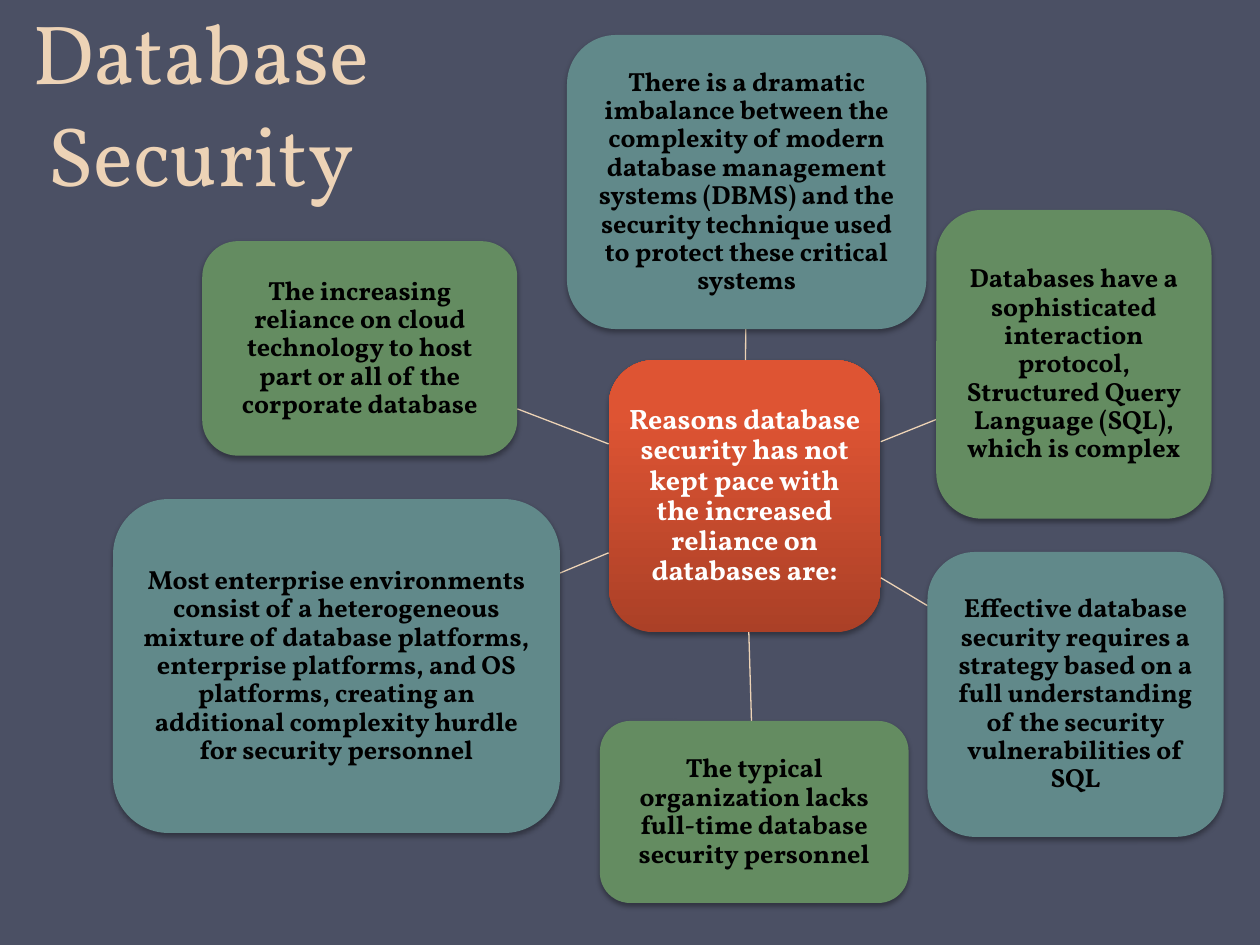
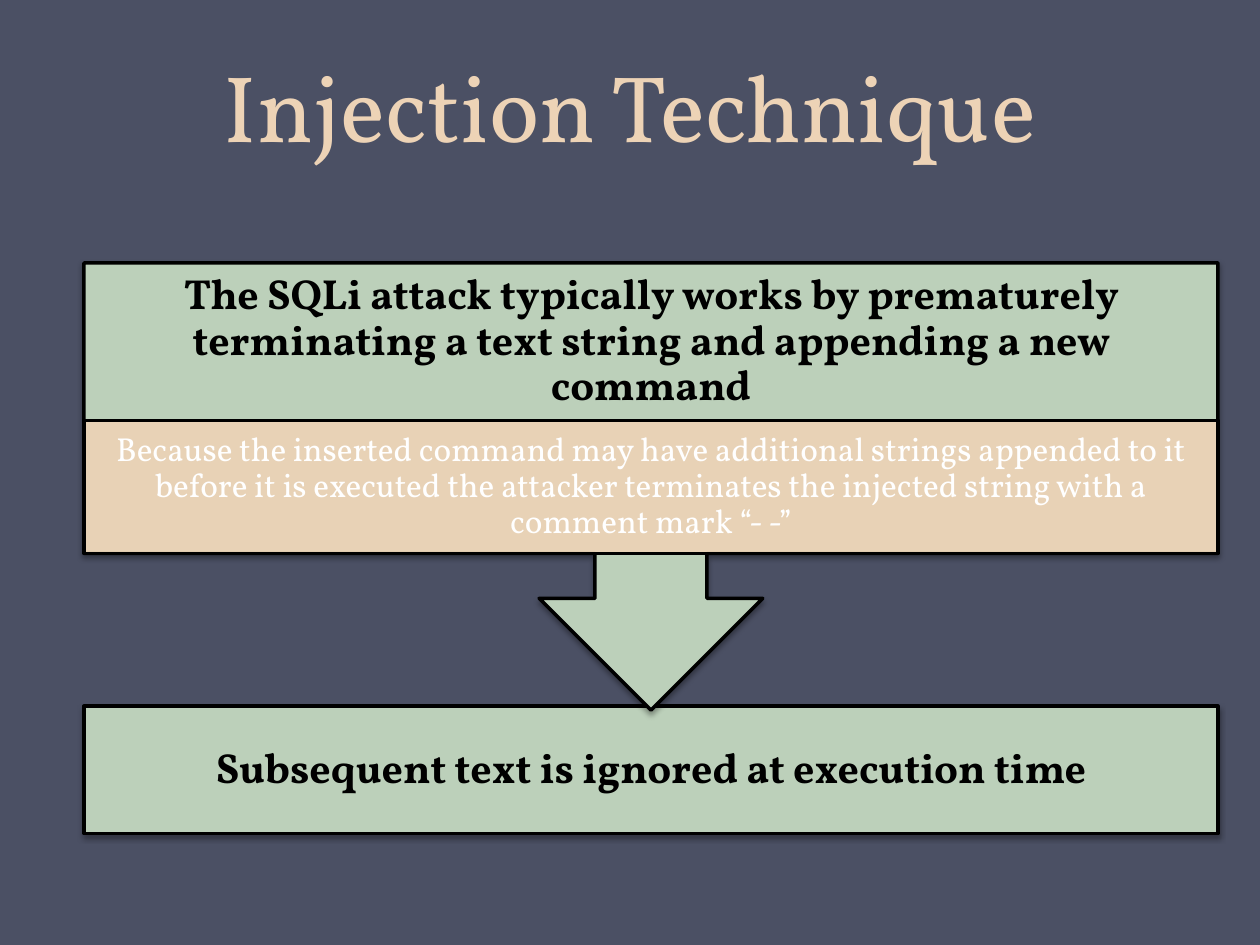
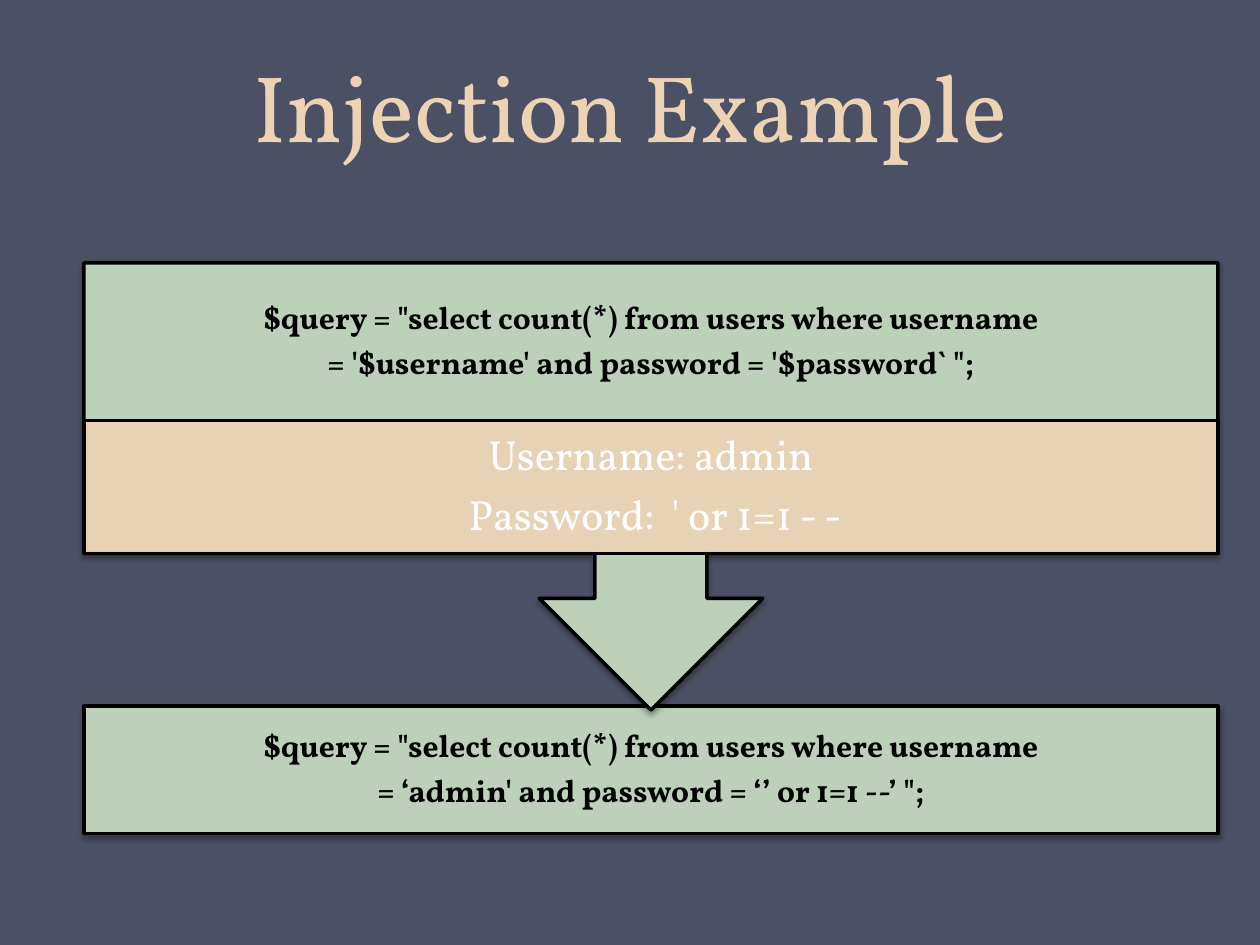
from pptx import Presentation
from pptx.dml.color import RGBColor
from pptx.enum.shapes import MSO_CONNECTOR, MSO_SHAPE
from pptx.enum.text import MSO_ANCHOR, MSO_AUTO_SIZE, PP_ALIGN
from pptx.oxml.ns import qn
from pptx.util import Pt
from lxml.etree import SubElement

FONT = "Vollkorn"
SLATE, SAND, MINT = "4B5064", "EDD3B6", "BCD0BA"
TEAL, GREEN = "61898A", "648C61"
EMBER, ORANGE = "AB4027", "DE5433"
BLACK, WHITE = "000000", "FFFFFF"

HUB = ("Reasons database security has not kept pace with the increased "
       "reliance on databases are:", (347.8, 205.8, 155.5, 155.5))
REASONS = [
    ("There is a dramatic imbalance between the complexity of modern database "
     "management systems (DBMS) and the security technique used to protect "
     "these critical systems", TEAL, (324, 20, 205.3, 168)),
    ("Databases have a sophisticated interaction protocol, Structured Query "
     "Language (SQL), which is complex", GREEN, (535, 120, 157.3, 176.4)),
    ("Effective database security requires a strategy based on a full "
     "understanding of the security vulnerabilities of SQL",
     TEAL, (530, 315.4, 169.2, 162.8)),
    ("The typical organization lacks full-time database security personnel",
     GREEN, (342.8, 412, 176.4, 104)),
    ("Most enterprise environments consist of a heterogeneous mixture of "
     "database platforms, enterprise platforms, and OS platforms, creating an "
     "additional complexity hurdle for security personnel",
     TEAL, (64.6, 285.2, 255.4, 190.8)),
    ("The increasing reliance on cloud technology to host part or all of the "
     "corporate database", GREEN, (115.6, 137.8, 180, 122.6)),
]
FLOWS = [
    {"title": "Injection Technique",
     "cause": (["The SQLi attack typically works by prematurely terminating a "
                "text string and appending a new command"], 24, 13.5),
     "detail": (["Because the inserted command may have additional strings "
                 "appended to it before it is executed the attacker terminates "
                 "the injected string with a comment mark “- -”"], 19, 10.5),
     "result": (["Subsequent text is ignored at execution time"], 24, 13.5)},
    {"title": "Injection Example",
     "cause": (['$query = "select count(*) from users where username',
                "= '$username' and password = '$password` \";"], 18, 10),
     "detail": (["Username: admin", " Password:  ' or 1=1 - -"], 24, 13.5),
     "result": (['$query = "select count(*) from users where username',
                 "= ‘admin' and password = ‘’ or 1=1 --’ \";"], 18, 10)},
]

FLOW_X, FLOW_W = 48, 648
CALLOUT_Y, CALLOUT_H, CAUSE_H = 150.2, 255.6, 90
CALLOUT_BODY = 0.65 * CALLOUT_H
DETAIL_Y, DETAIL_H = CALLOUT_Y + CAUSE_H, 76.2
RESULT_Y, RESULT_H = 403.6, 72.8
INSET = 3


def rgb(color):
    return RGBColor.from_string(color)


def pts(*values):
    return [Pt(v) for v in values]


def style_runs(p, size, color, bold):
    p.alignment = PP_ALIGN.CENTER
    for r in p.runs:
        r.font.name, r.font.size, r.font.bold = FONT, Pt(size), bold
        r.font.color.rgb = rgb(color)


def add_slide(prs, title, size, box):
    s = prs.slides.add_slide(prs.slide_layouts[5])
    sp = s.shapes.title
    sp.left, sp.top, sp.width, sp.height = pts(*box)
    tf = sp.text_frame
    tf.text = title
    tf.word_wrap, tf.auto_size = True, MSO_AUTO_SIZE.NONE
    tf.vertical_anchor = MSO_ANCHOR.BOTTOM
    p = tf.paragraphs[0]
    p.line_spacing = Pt(58)
    style_runs(p, size, SAND, False)
    return s


def add_box(s, kind, box, fill, line=None, shadow=True):
    sp = s.shapes.add_shape(kind, *pts(*box))
    sp.fill.solid()
    sp.fill.fore_color.rgb = rgb(fill)
    if line:
        sp.line.color.rgb, sp.line.width = rgb(line), Pt(2)
    else:
        sp.line.fill.background()
    sp.shadow.inherit = False
    if shadow:
        effects = sp._element.spPr.find(qn("a:effectLst"))
        outer = SubElement(effects, qn("a:outerShdw"), blurRad=str(Pt(3.1)),
                           dist=str(Pt(1.8)), dir="5400000", rotWithShape="0")
        set_alpha(SubElement(outer, qn("a:srgbClr"), val=BLACK), 35)
    return sp


def set_alpha(color, percent):
    SubElement(color, qn("a:alpha"), val=str(percent * 1000))


def write(sp, lines, size, color=BLACK, bold=True, side=INSET, bottom=INSET):
    tf = sp.text_frame
    tf.text = "\n".join(lines)
    tf.word_wrap, tf.vertical_anchor = True, MSO_ANCHOR.MIDDLE
    tf.margin_left = tf.margin_right = Pt(side)
    tf.margin_top, tf.margin_bottom = Pt(INSET), Pt(bottom)
    for p in tf.paragraphs:
        p.line_spacing, p.space_after = 0.9, Pt(0.35 * size)
        style_runs(p, size, color, bold)


def edge_point(box, toward):
    x, y, w, h = box
    cx, cy = x + w / 2, y + h / 2
    dx = toward[0] + toward[2] / 2 - cx
    dy = toward[1] + toward[3] / 2 - cy
    t = 1 / max(abs(dx) / (w / 2), abs(dy) / (h / 2))
    return cx + dx * t, cy + dy * t


def add_spoke(s, start, end):
    c = s.shapes.add_connector(MSO_CONNECTOR.STRAIGHT, *pts(*start, *end))
    c.line.color.rgb, c.line.width = rgb(SAND), Pt(0.75)
    SubElement(c._element.spPr, qn("a:effectLst"))


def build_reasons(prs):
    s = add_slide(prs, "Database Security", 48, (-14.4, 3, 258, 116.6))
    text, hub = HUB
    sp = add_box(s, MSO_SHAPE.ROUNDED_RECTANGLE, hub, ORANGE)
    sp.fill.gradient()
    sp.fill.gradient_angle = 90
    for stop, color, position in zip(sp.fill.gradient_stops,
                                     (EMBER, ORANGE), (0, 0.8)):
        stop.color.rgb, stop.position = rgb(color), position
    write(sp, [text], 16, WHITE)
    for text, color, box in REASONS:
        add_spoke(s, edge_point(hub, box), edge_point(box, hub))
        sp = add_box(s, MSO_SHAPE.ROUNDED_RECTANGLE, box, color)
        write(sp, [text], 15)


def build_flow(prs, flow):
    s = add_slide(prs, flow["title"], 54, (36, -30, 648, 126))
    lines, size, side = flow["result"]
    result = add_box(s, MSO_SHAPE.RECTANGLE,
                     (FLOW_X, RESULT_Y, FLOW_W, RESULT_H), MINT, BLACK)
    write(result, lines, size, side=side)

    lines, size, side = flow["cause"]
    cause = add_box(s, MSO_SHAPE.DOWN_ARROW_CALLOUT,
                    (FLOW_X, CALLOUT_Y, FLOW_W, CALLOUT_H), MINT, BLACK)
    write(cause, lines, size, side=side,
          bottom=CALLOUT_BODY - CAUSE_H + INSET)

    lines, size, side = flow["detail"]
    detail = add_box(s, MSO_SHAPE.RECTANGLE,
                     (FLOW_X, DETAIL_Y, FLOW_W, DETAIL_H), SAND, BLACK, False)
    set_alpha(detail._element.spPr.find(qn("a:solidFill"))[0], 90)
    write(detail, lines, size, WHITE, False, side)


def main():
    prs = Presentation()
    prs.slide_width, prs.slide_height = pts(720, 540)
    background = prs.slide_master.background.fill
    background.solid()
    background.fore_color.rgb = rgb(SLATE)
    build_reasons(prs)
    for flow in FLOWS:
        build_flow(prs, flow)
    prs.save("out.pptx")


if __name__ == "__main__":
    main()
